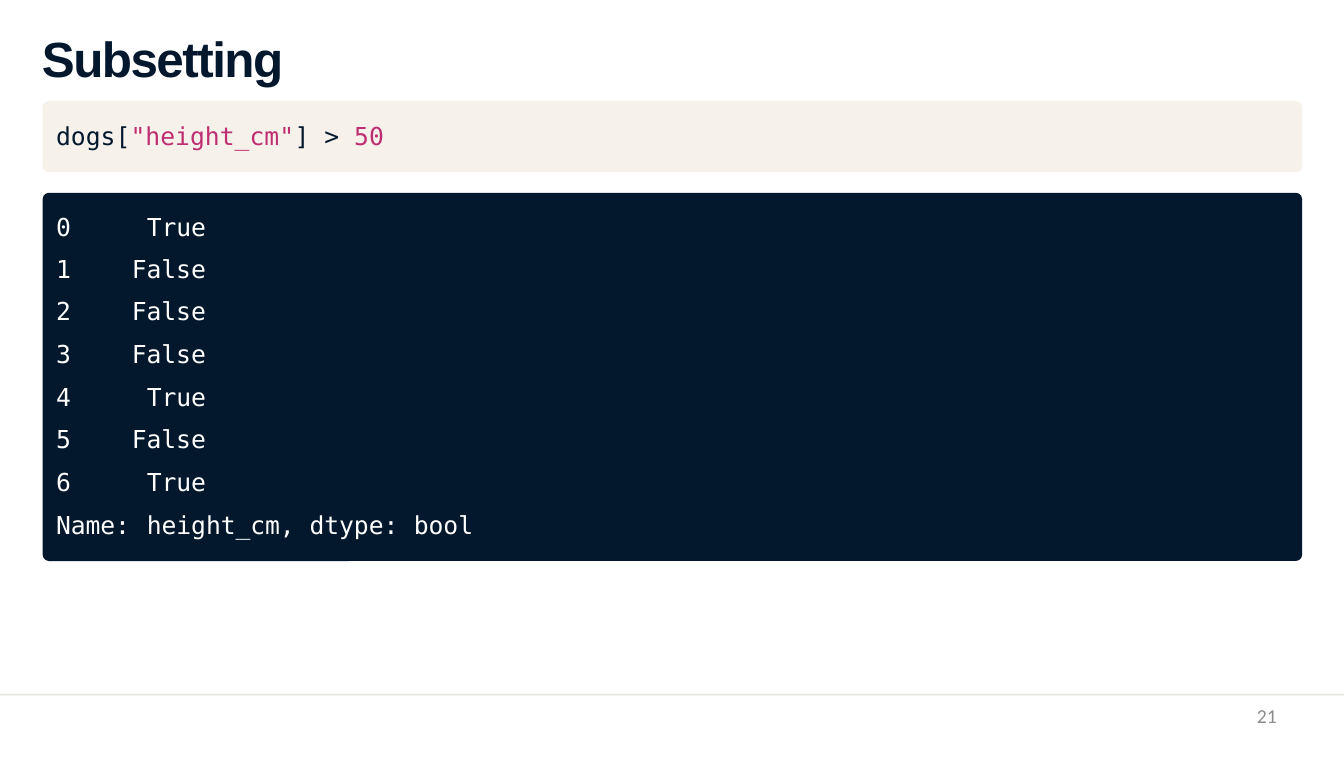
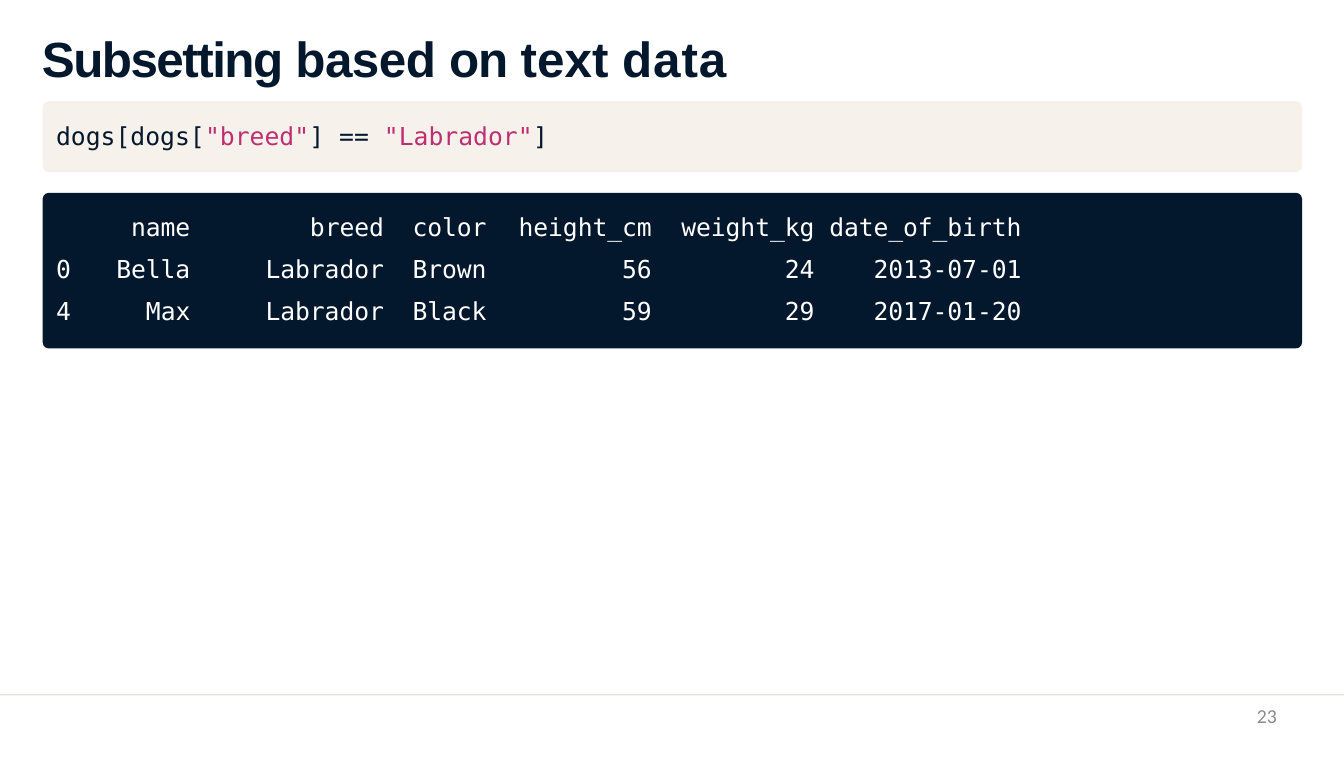
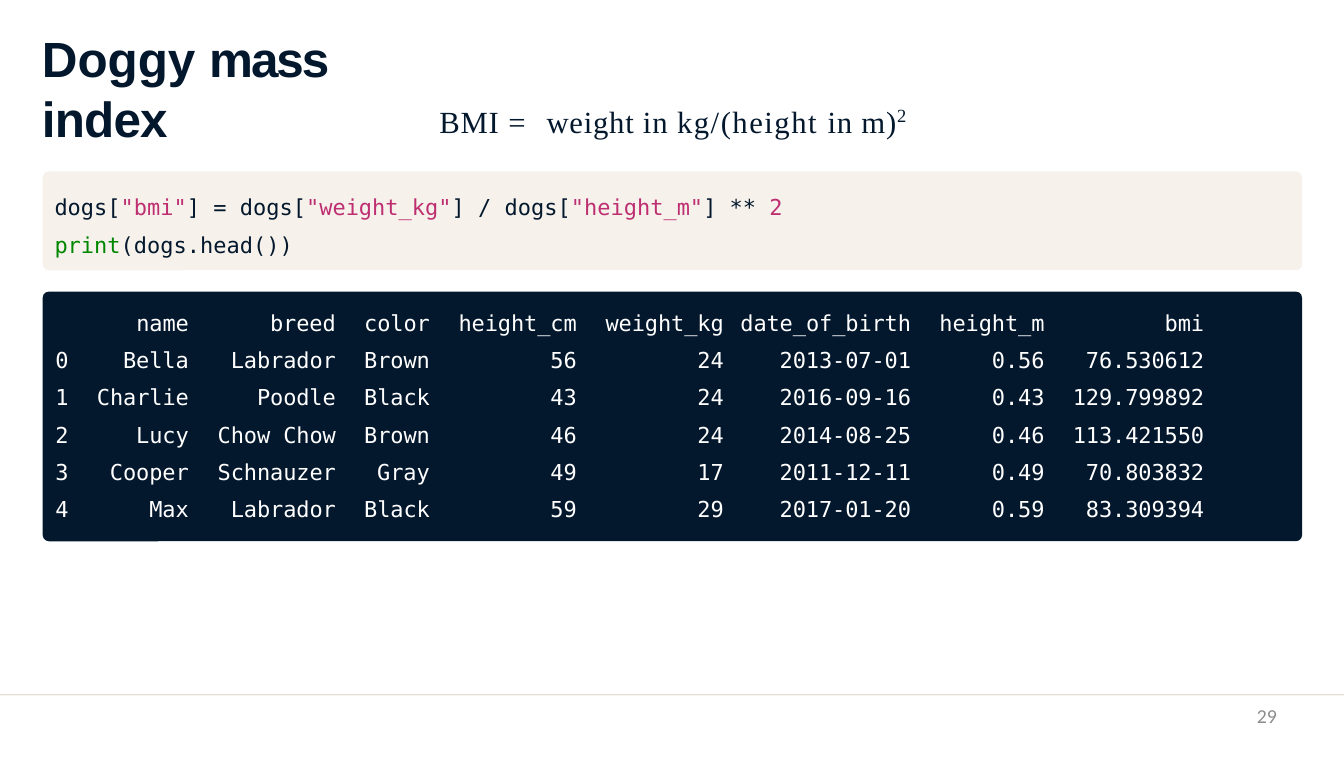
from lxml.etree import SubElement
from pptx import Presentation
from pptx.dml.color import RGBColor
from pptx.enum.shapes import MSO_SHAPE
from pptx.enum.text import PP_ALIGN
from pptx.oxml.ns import qn
from pptx.util import Inches, Pt

RECT, ROUND = MSO_SHAPE.RECTANGLE, MSO_SHAPE.ROUNDED_RECTANGLE
LEFT, MID, RIGHT = PP_ALIGN.LEFT, PP_ALIGN.CENTER, PP_ALIGN.RIGHT
NAVY, PINK, GREEN, GRAY = "04182D", "BE2F72", "008600", "8C8C8C"
CREAM, RULE, WHITE = "F6F2EB", "E4E1D9", "FFFFFF"
SANS, MONO, SERIF, FOOT = "Arial", "DejaVu Sans Mono", "Times New Roman", "Calibri"
PLAIN = "{2D5ABB26-0587-4C30-8999-92F81FD0307C}"
WIDE, HIGH = 17.01, 9.58
EDGE, SPAN, ROUNDING = 0.54, 15.94, 0.08

SLIDES = [
    {
        "title": [("Subsetting", -1.4)], "width": 4.6, "page": "21",
        "code": [[("dogs[", NAVY), ('"height_cm"', PINK), ("] > ", NAVY), ("50", PINK)]],
        "bands": [(1.28, 0.9), (2.44, 4.66)],
        "start": (0.71, 1.53), "size": 22.5,
        "table": (0.68, 2.7), "pitch": (0.46, 0.54), "drop": 0.07,
        "cols": [(0.99, LEFT, 0.03, 0), (2.16, LEFT, 0.19, 0),
                 (1.32, LEFT, 0.09, 0), (0.88, LEFT, 0.09, 0)],
        "rows": [
            ["0", "True"],
            ["1", ("False", 0)],
            ["2", ("False", 0)],
            ["3", ("False", 0)],
            ["4", "True"],
            ["5", ("False", 0)],
            ["6", "True"],
            ["Name:", "height_cm,", "dtype:", "bool"],
        ],
    },
    {
        "title": [("Subsetting ", -1.4), ("based ", -0.5), ("on ", -1.1),
                  ("text ", 0), ("data", 0.8)],
        "width": 14.46, "page": "23",
        "code": [[("dogs[dogs[", NAVY), ('"breed"', PINK), ("] == ", NAVY),
                  ('"Labrador"', PINK), ("]", NAVY)]],
        "bands": [(1.28, 0.9), (2.44, 1.97)],
        "start": (0.71, 1.53), "size": 22.5,
        "table": (0.68, 2.7), "pitch": (0.46, 0.54), "drop": 0.07,
        "cols": [(0.5, LEFT, 0.03, 0), (1.69, RIGHT, 0, 0.46), (2.16, RIGHT, 0, 0.17),
                 (1.32, MID, 0, 0), (2.07, RIGHT, 0, 0.17), (1.97, RIGHT, 0, 0.08),
                 (2.57, RIGHT, 0, 0.03)],
        "rows": [
            ["", "name", "breed", "color", "height_cm", "weight_kg", "date_of_birth"],
            ["0", "Bella", "Labrador", "Brown", "56", "24", "2013-07-01"],
            ["4", "Max", "Labrador", "Black", "59", "29", "2017-01-20"],
        ],
    },
    {
        "title": [("Doggy ", 0), ("mass ", -1.9), ("index", -0.7)],
        "width": 4.6, "page": "29",
        "code": [
            [("dogs[", NAVY), ('"bmi"', PINK), ("] = dogs[", NAVY), ('"weight_kg"', PINK),
             ("] / dogs[", NAVY), ('"height_m"', PINK), ("] ** ", NAVY), ("2", PINK)],
            [("print", GREEN), ("(dogs.head())", NAVY)],
        ],
        "formula": [("BMI ", 0.8), ("= ", 6), ("weight in ", 0.7),
                    ("kg/(height ", 1.4), ("in m)", 0.7)],
        "power": "2",
        "bands": [(2.17, 1.25), (3.69, 3.16)],
        "start": (0.69, 2.45), "size": 20,
        "table": (0.66, 3.94), "pitch": (0.41, 0.47), "drop": 0.06,
        "cols": [(1.9, RIGHT, 0.04, 0.17), (1.86, RIGHT, 0, 0.17), (1.18, RIGHT, 0, 0.16),
                 (1.86, RIGHT, 0, 0.16), (1.78, RIGHT, 0, 0.08), (2.45, RIGHT, 0, 0.16),
                 (1.69, RIGHT, 0, 0.16), (1.9, RIGHT, 0, 0.04)],
        "rows": [
            ["name", "breed", "color", "height_cm", "weight_kg", "date_of_birth",
             "height_m", "bmi"],
            ["0\tBella", "Labrador", "Brown", "56", "24", "2013-07-01", "0.56", "76.530612"],
            ["1\tCharlie", "Poodle", "Black", "43", "24", "2016-09-16", "0.43", "129.799892"],
            ["2\tLucy", "Chow Chow", "Brown", "46", "24", "2014-08-25", "0.46", "113.421550"],
            ["3\tCooper", "Schnauzer", "Gray", "49", "17", "2011-12-11", "0.49", "70.803832"],
            ["4\tMax", "Labrador", "Black", "59", "29", "2017-01-20", "0.59", "83.309394"],
        ],
    },
]


def color(code):
    return RGBColor.from_string(code)


def band(slide, kind, x, y, w, h, fill):
    shape = slide.shapes.add_shape(kind, Inches(x), Inches(y), Inches(w), Inches(h))
    shape.shadow.inherit = False
    shape.fill.solid()
    shape.fill.fore_color.rgb = color(fill)
    shape.line.fill.background()
    if kind == ROUND:
        shape.adjustments[0] = ROUNDING / h


def box(slide, x, y, w, h):
    frame = slide.shapes.add_textbox(Inches(x), Inches(y), Inches(w), Inches(h)).text_frame
    frame.word_wrap = True
    frame.margin_left = frame.margin_top = frame.margin_right = frame.margin_bottom = 0
    return frame


def write(para, text, face, size, ink, gap=0, bold=False):
    run = para.add_run()
    run.text = text
    run.font.name, run.font.size, run.font.bold = face, Pt(size), bold
    run.font.color.rgb = color(ink)
    if gap:
        run.font._element.set("spc", str(round(gap * 100)))
    return run


def head(slide, data):
    para = box(slide, 0.53, 0.36, data["width"], 0.74).paragraphs[0]
    for text, gap in data["title"]:
        write(para, text, SANS, 45, NAVY, gap, True)


def foot(slide, page):
    band(slide, RECT, 0, 8.78, WIDE, 0.02, RULE)
    para = box(slide, 12.25, 8.91, 3.91, 0.48).paragraphs[0]
    para.alignment = RIGHT
    write(para, page, FOOT, 18, GRAY)


def code(slide, data):
    x, y = data["start"]
    frame = box(slide, x, y, 15, 0.4 * len(data["code"]))
    for i, line in enumerate(data["code"]):
        para = frame.add_paragraph() if i else frame.paragraphs[0]
        if i:
            para.space_before = Pt(10.4)
        for text, ink in line:
            write(para, text, MONO, data["size"], ink)


def formula(slide, data):
    para = box(slide, 5.56, 1.28, 7, 0.5).paragraphs[0]
    for text, gap in data["formula"]:
        write(para, text, SERIF, 28, NAVY, gap)
    power = write(para, data["power"], SERIF, 29.2, NAVY, 1)
    power.font._element.set("baseline", "33000")


def grid(slide, data):
    rows, cols = data["rows"], data["cols"]
    outer, inner = data["pitch"]
    highs = [outer] + [inner] * (len(rows) - 2) + [outer]
    x, y = data["table"]
    wide = sum(col[0] for col in cols)
    table = slide.shapes.add_table(len(rows), len(cols), Inches(x), Inches(y),
                                   Inches(wide), Inches(sum(highs))).table
    table.first_row = table.horz_banding = False
    table._tbl.tblPr.find(qn("a:tableStyleId")).text = PLAIN
    for col, (w, *_) in zip(table.columns, cols):
        col.width = Inches(w)
    for r, (row, high) in enumerate(zip(rows, highs)):
        table.rows[r].height = Inches(high)
        for c, (w, align, left, right) in enumerate(cols):
            text = row[c] if c < len(row) else ""
            if isinstance(text, tuple):
                text, left = text
            cell = table.cell(r, c)
            cell.fill.background()
            cell.margin_left, cell.margin_right = Inches(left), Inches(right)
            cell.margin_top, cell.margin_bottom = Inches(data["drop"] if r else 0), 0
            para = cell.text_frame.paragraphs[0]
            para.alignment = align
            if "\t" in text:
                para.alignment = LEFT
                cell.margin_right = Inches(right / 2)
                tabs = SubElement(para._p.get_or_add_pPr(), qn("a:tabLst"))
                stop = Inches(w - left - right)
                SubElement(tabs, qn("a:tab"), pos=str(stop), algn="r")
            if text:
                write(para, text, MONO, data["size"], WHITE, -0.1)
            else:
                para.font.size = Pt(data["size"])


def main():
    deck = Presentation()
    deck.slide_width, deck.slide_height = Inches(WIDE), Inches(HIGH)
    for data in SLIDES:
        slide = deck.slides.add_slide(deck.slide_layouts[6])
        head(slide, data)
        for (y, h), fill in zip(data["bands"], (CREAM, NAVY)):
            band(slide, ROUND, EDGE, y, SPAN, h, fill)
        if "formula" in data:
            formula(slide, data)
        code(slide, data)
        grid(slide, data)
        foot(slide, data["page"])
    deck.save("out.pptx")


if __name__ == "__main__":
    main()
